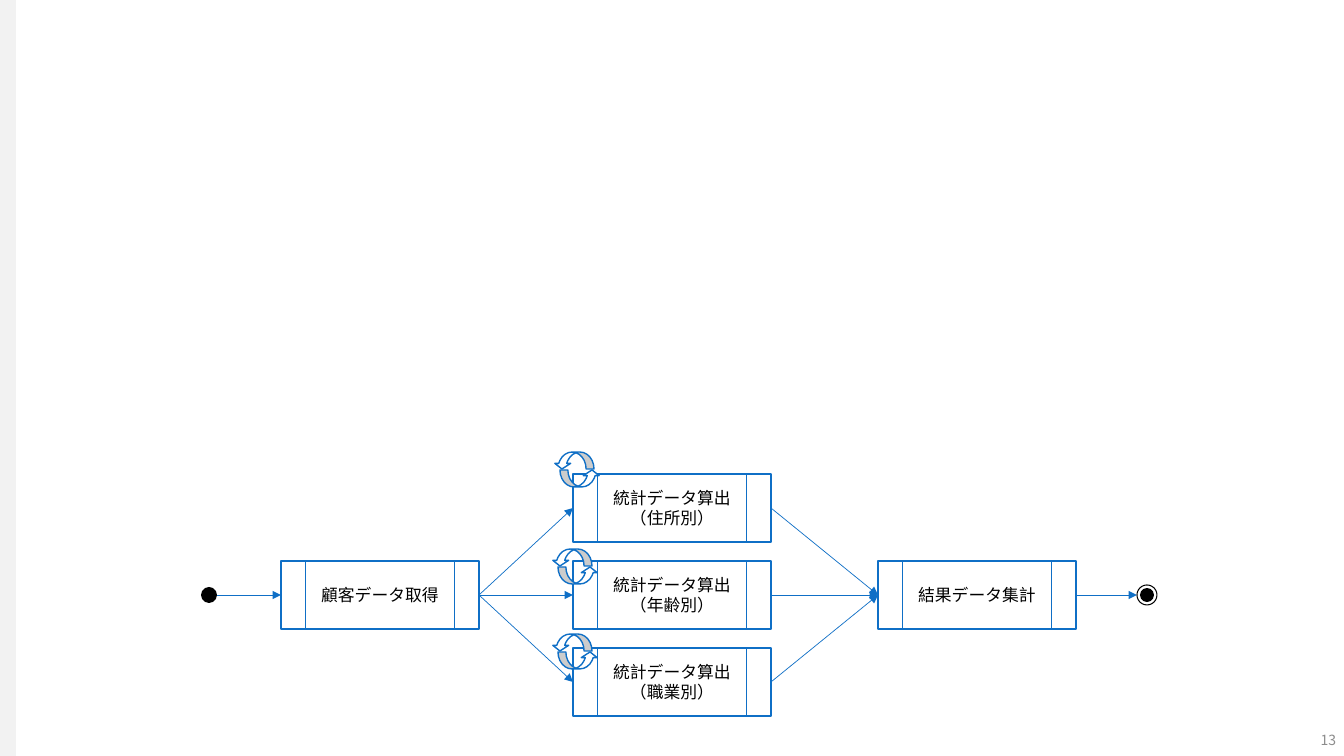
from dataclasses import dataclass

from lxml.etree import SubElement as Sub
from pptx import Presentation
from pptx.dml.color import RGBColor
from pptx.enum.shapes import MSO_CONNECTOR as Link, MSO_SHAPE as Kind
from pptx.enum.text import MSO_ANCHOR as Anchor, PP_ALIGN as Align
from pptx.oxml.ns import qn
from pptx.shapes.autoshape import Shape
from pptx.util import Emu, Pt

BLUE = RGBColor(0x0F, 0x6F, 0xC6)
BLACK = RGBColor(0, 0, 0)
WHITE = RGBColor(0xFF, 0xFF, 0xFF)
PALE = RGBColor(0xF2, 0xF2, 0xF2)
GREY = RGBColor(0x8C, 0x8C, 0x8C)
FONT = "Noto Sans CJK JP"
WIDE, HIGH = 1344, 756
BOX_W, BOX_H = 198, 68
TOP, STEP = 474, 87
MID_X, MID_Y = 573, TOP + STEP


@dataclass
class Task:
    x: int
    y: int
    text: str


@dataclass
class Loop:
    x: int
    y: int


FIRST = Task(281, MID_Y, "顧客データ取得")
STATS = [
    Task(MID_X, TOP + i * STEP, f"統計データ算出\n（{key}別）")
    for i, key in enumerate(("住所", "年齢", "職業"))
]
LAST = Task(878, MID_Y, "結果データ集計")
LOOPS = [Loop(552, 634), Loop(554, 452), Loop(552, 549)]


def px(n: int) -> Emu:
    return Emu(round(n * 12192000 / WIDE))


def draw(shapes, kind: Kind, x: int, y: int, w: int, h: int,
         fill: RGBColor | None, line: RGBColor | None = None,
         width: float = 1) -> Shape:
    shape = shapes.add_shape(kind, px(x), px(y), px(w), px(h))
    shape.shadow.inherit = False
    if fill is None:
        shape.fill.background()
    else:
        shape.fill.solid()
        shape.fill.fore_color.rgb = fill
    if line is None:
        shape.line.fill.background()
    else:
        shape.line.color.rgb = line
        shape.line.width = Pt(width)
    return shape


def write(shape: Shape, text: str, size: int, color: RGBColor,
          align: Align) -> None:
    frame = shape.text_frame
    frame.word_wrap = True
    frame.vertical_anchor = Anchor.MIDDLE
    frame.text = text
    for para in frame.paragraphs:
        para.alignment = align
        font = para.font
        font.size = Pt(size)
        font.color.rgb = color
        font.name = FONT
        props = para._p.pPr.find(qn("a:defRPr"))
        Sub(props, qn("a:ea"), typeface=FONT)


def add_task(shapes, task: Task) -> Shape:
    box = draw(shapes, Kind.FLOWCHART_PREDEFINED_PROCESS,
               task.x, task.y, BOX_W, BOX_H, WHITE, BLUE)
    write(box, task.text, 12, BLACK, Align.CENTER)
    return box


def add_dot(shapes, x: int, size: int, fill: RGBColor | None,
            line: RGBColor | None = None) -> Shape:
    y = MID_Y + (BOX_H - size) // 2
    return draw(shapes, Kind.OVAL, x, y, size, size, fill, line, 0.75)


def join(shapes, start: Shape, end: Shape) -> None:
    line = shapes.add_connector(
        Link.STRAIGHT,
        start.left + start.width, start.top + start.height // 2,
        end.left, end.top + end.height // 2)
    line.line.color.rgb = BLUE
    line.line.width = Pt(0.5)
    Sub(line.line._get_or_add_ln(), qn("a:tailEnd"), type="triangle")
    Sub(line._element.spPr, qn("a:effectLst"))


def add_loop(shapes, loop: Loop) -> None:
    group = shapes.add_group_shape().shapes
    for dx, dy, turn in ((6, 18, 0), (0, 0, 180)):
        arrow = draw(group, Kind.CURVED_UP_ARROW,
                     loop.x + dx, loop.y + dy, 40, 17, WHITE, BLUE)
        arrow.rotation = turn
        for i, value in enumerate((0.466, 0.932, 0.333)):
            arrow.adjustments[i] = value


def main() -> None:
    deck = Presentation()
    deck.slide_width, deck.slide_height = px(WIDE), px(HIGH)
    shapes = deck.slides.add_slide(deck.slide_layouts[6]).shapes

    draw(shapes, Kind.RECTANGLE, 0, 0, 16, HIGH, PALE)
    page = shapes.add_textbox(px(1233), px(724), px(111), px(32))
    write(page, "13", 10, GREY, Align.RIGHT)
    frame = page.text_frame
    frame.margin_left = frame.margin_right = px(8)
    frame.margin_top = frame.margin_bottom = px(8)

    first = add_task(shapes, FIRST)
    stats = [add_task(shapes, task) for task in STATS]
    last = add_task(shapes, LAST)
    start = add_dot(shapes, 201, 16, BLACK)
    final = shapes.add_group_shape().shapes
    add_dot(final, 1140, 14, BLACK)
    ring = add_dot(final, 1137, 20, None, BLACK)

    join(shapes, start, first)
    for stat in stats:
        join(shapes, first, stat)
        join(shapes, stat, last)
    join(shapes, last, ring)
    for loop in LOOPS:
        add_loop(shapes, loop)

    deck.save("out.pptx")


if __name__ == "__main__":
    main()
